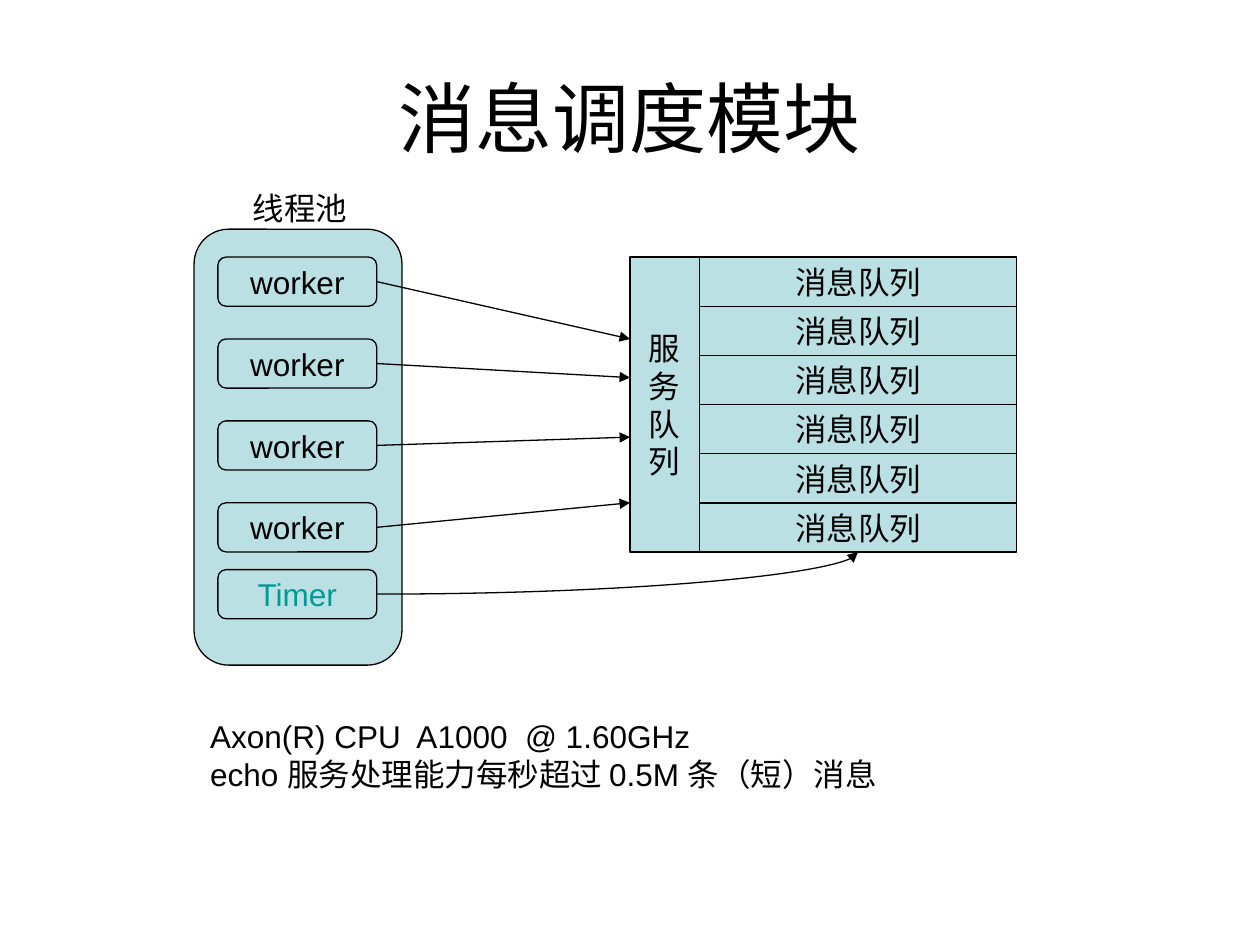
from dataclasses import dataclass

from lxml import etree
from pptx import Presentation
from pptx.dml.color import RGBColor
from pptx.enum import shapes, text
from pptx.oxml import ns
from pptx.util import Pt


@dataclass(frozen=True)
class Theme:
    font: str = "Arial"
    ink: RGBColor = RGBColor(0x00, 0x00, 0x00)
    accent: RGBColor = RGBColor(0x00, 0x99, 0x99)
    fill: RGBColor = RGBColor(0xBB, 0xE0, 0xE3)
    title_size: int = 44
    body_size: int = 18
    line_width: float = 0.75


THEME = Theme()
RECT = shapes.MSO_SHAPE.RECTANGLE
ROUNDED = shapes.MSO_SHAPE.ROUNDED_RECTANGLE
CENTER = text.PP_ALIGN.CENTER

ROW_HEIGHT = 28.1
TOP = 146.9
QUEUE_COUNT = 6
WORKER_LEFT, WORKER_WIDTH, WORKER_STEP = 124.5, 90.8, 46.8
TIMER_TOP = 325.5
SERVICE_LEFT, SERVICE_WIDTH = 360, 39.6
QUEUE_LEFT, QUEUE_WIDTH = SERVICE_LEFT + SERVICE_WIDTH, 181.4
ARROW_ENDS = (193.7, 215.8, 249.8, 287.3)


def write(frame, content, size=THEME.body_size, color=THEME.ink, align=None):
    frame.text = content
    for paragraph in frame.paragraphs:
        paragraph.alignment = align
        for run in paragraph.runs:
            run.font.name = THEME.font
            run.font.size = Pt(size)
            run.font.color.rgb = color


def add_title(slide, content):
    title = slide.shapes.title
    title.left, title.top, title.width, title.height = Pt(36), Pt(21.6), Pt(648), Pt(90)
    title.text_frame.vertical_anchor = text.MSO_ANCHOR.MIDDLE
    title.text_frame.auto_size = text.MSO_AUTO_SIZE.NONE
    write(title.text_frame, content, THEME.title_size, align=CENTER)


def add_box(slide, kind, left, top, width, height, label="", color=THEME.ink):
    box = slide.shapes.add_shape(kind, Pt(left), Pt(top), Pt(width), Pt(height))
    box.shadow.inherit = False
    box.fill.solid()
    box.fill.fore_color.rgb = THEME.fill
    box.line.color.rgb = THEME.ink
    box.line.width = Pt(THEME.line_width)
    if label:
        box.text_frame.word_wrap = False
        box.text_frame.vertical_anchor = text.MSO_ANCHOR.MIDDLE
        write(box.text_frame, label, color=color, align=CENTER)
    return box


def add_note(slide, left, top, width, height, content):
    note = slide.shapes.add_textbox(Pt(left), Pt(top), Pt(width), Pt(height))
    note.text_frame.word_wrap = True
    write(note.text_frame, content)


def add_arrow(slide, start, end, curved=False):
    """Draw an arrow; a curved one leaves sideways and arrives vertically."""
    kind = shapes.MSO_CONNECTOR.CURVE if curved else shapes.MSO_CONNECTOR.STRAIGHT
    arrow = slide.shapes.add_connector(kind, *map(Pt, start + end))
    arrow.line.color.rgb = THEME.ink
    arrow.line.width = Pt(THEME.line_width)
    properties = arrow.line._get_or_add_ln().getparent()
    etree.SubElement(properties.find(ns.qn("a:ln")), ns.qn("a:tailEnd"), type="triangle")
    etree.SubElement(properties, ns.qn("a:effectLst"))
    if curved:
        properties.find(ns.qn("a:prstGeom")).set("prst", "curvedConnector2")


def add_thread_pool(slide):
    add_note(slide, 137.5, 104.4, 69.1, 28.8, "线程池")
    add_box(slide, ROUNDED, 110.9, 131, 118.8, 249.1)
    for index in range(len(ARROW_ENDS)):
        add_box(slide, ROUNDED, WORKER_LEFT, TOP + index * WORKER_STEP,
                WORKER_WIDTH, ROW_HEIGHT, "worker")
    add_box(slide, ROUNDED, WORKER_LEFT, TIMER_TOP, WORKER_WIDTH, ROW_HEIGHT,
            "Timer", THEME.accent)


def add_queues(slide):
    add_box(slide, RECT, SERVICE_LEFT, TOP, SERVICE_WIDTH,
            QUEUE_COUNT * ROW_HEIGHT, "\n".join("服务队列"))
    for index in range(QUEUE_COUNT):
        add_box(slide, RECT, QUEUE_LEFT, TOP + index * ROW_HEIGHT,
                QUEUE_WIDTH, ROW_HEIGHT, "消息队列")


def add_dispatch_arrows(slide):
    start_x = WORKER_LEFT + WORKER_WIDTH
    middle = ROW_HEIGHT / 2
    for index, end_y in enumerate(ARROW_ENDS):
        add_arrow(slide, (start_x, TOP + index * WORKER_STEP + middle),
                  (SERVICE_LEFT, end_y))
    queue_bottom = (QUEUE_LEFT + QUEUE_WIDTH / 2, TOP + QUEUE_COUNT * ROW_HEIGHT)
    add_arrow(slide, (start_x, TIMER_TOP + middle), queue_bottom, curved=True)


def main():
    deck = Presentation()
    deck.slide_width, deck.slide_height = Pt(720), Pt(540)
    slide = deck.slides.add_slide(deck.slide_layouts.get_by_name("Title Only"))
    add_title(slide, "消息调度模块")
    add_thread_pool(slide)
    add_queues(slide)
    add_dispatch_arrows(slide)
    add_note(slide, 113, 406.1, 478.8, 50.4,
             "Axon(R) CPU  A1000  @ 1.60GHz\n"
             "echo 服务处理能力每秒超过 0.5M 条（短）消息")
    deck.save("out.pptx")


if __name__ == "__main__":
    main()
